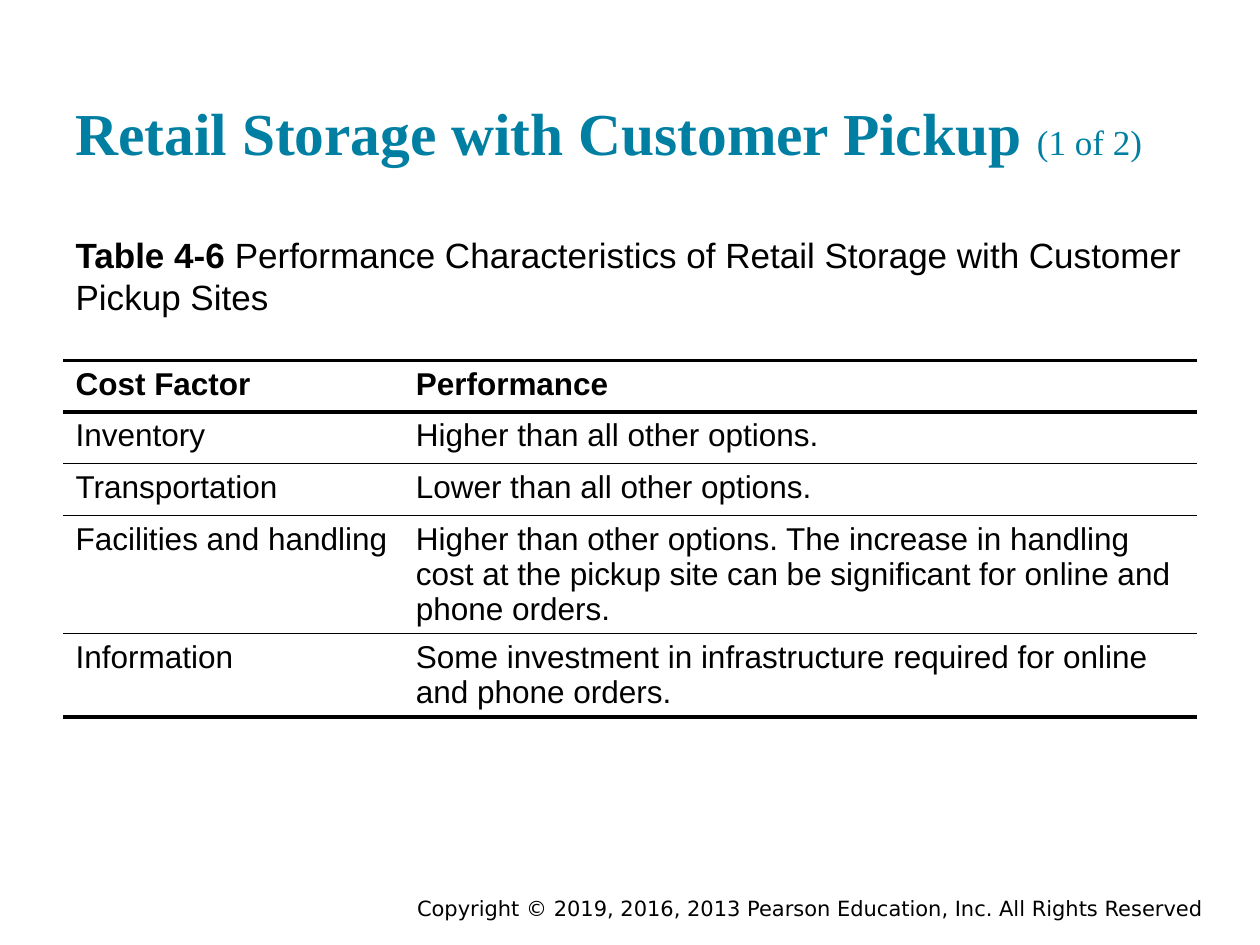
"""Build the slide on retail storage with customer pickup."""
from lxml import etree
from pptx import Presentation
from pptx.dml.color import RGBColor
from pptx.enum.text import MSO_ANCHOR, MSO_AUTO_SIZE, PP_ALIGN
from pptx.oxml.ns import qn
from pptx.util import Inches, Pt

LEFT, RIGHT = PP_ALIGN.LEFT, PP_ALIGN.RIGHT
TOP, MIDDLE, BOTTOM = MSO_ANCHOR.TOP, MSO_ANCHOR.MIDDLE, MSO_ANCHOR.BOTTOM
NO_AUTOFIT = MSO_AUTO_SIZE.NONE

COLORS = {"title": "007FA3", "text": "000000", "background": "FFFFFF"}
TITLE = [("Retail Storage with Customer Pickup ", 34, True), ("(1 of 2)", 20, False)]
CAPTION = [
    ("Table 4-6 ", 20, True),
    ("Performance Characteristics of Retail Storage with Customer Pickup Sites", 20, False),
]
COPYRIGHT = "Copyright © 2019, 2016, 2013 Pearson Education, Inc. All Rights Reserved"
ROWS = [
    ("Cost Factor", "Performance"),
    ("Inventory", "Higher than all other options."),
    ("Transportation", "Lower than all other options."),
    ("Facilities and handling", "Higher than other options. The increase in handling cost "
     "at the pickup site can be significant for online and phone orders."),
    ("Information", "Some investment in infrastructure required for online and phone orders."),
]
COLUMN_WIDTHS = [2.7, 6.3]
ROW_HEIGHTS = [0.41, 0.41, 0.41, 0.9, 0.63]
RULE_WIDTHS = [2.25, 2.25, 1, 1, 1, 2.25]


def write_text(frame, runs, font="Arial", color="text", align=LEFT, line_spacing=1.0):
    """Fill the first paragraph of a frame with (text, size, bold) runs."""
    paragraph = frame.paragraphs[0]
    paragraph.alignment = align
    paragraph.line_spacing = line_spacing
    paragraph.space_before = Pt(0)
    for text, size, bold in runs:
        run = paragraph.add_run()
        run.text = text
        run.font.name = font
        run.font.size = Pt(size)
        run.font.bold = bold
        run.font.color.rgb = RGBColor.from_string(COLORS[color])
    return paragraph


def place(shape, left, top, width, height, anchor, inset=0.1):
    """Position a text shape and set up its frame."""
    shape.left, shape.top = Inches(left), Inches(top)
    shape.width, shape.height = Inches(width), Inches(height)
    frame = shape.text_frame
    frame.word_wrap = True
    frame.auto_size = NO_AUTOFIT
    frame.vertical_anchor = anchor
    frame.margin_left = frame.margin_right = Inches(0.1)
    frame.margin_top = frame.margin_bottom = Inches(inset)
    return frame


def set_borders(cell, widths):
    """Draw only the top and bottom borders of a cell."""
    properties = cell._tc.get_or_add_tcPr()
    for index, (side, width) in enumerate(widths.items()):
        line = etree.Element(qn(f"a:{side}"), w=str(Pt(width)))
        if width:
            fill = etree.SubElement(line, qn("a:solidFill"))
            etree.SubElement(fill, qn("a:srgbClr"), val=COLORS["text"])
        else:
            etree.SubElement(line, qn("a:noFill"))
        properties.insert(index, line)


def add_cost_table(slide):
    """Add the table of cost factors with horizontal rules."""
    table = slide.shapes.add_table(
        len(ROWS), len(COLUMN_WIDTHS), Inches(0.5), Inches(2.86),
        Inches(sum(COLUMN_WIDTHS)), Inches(sum(ROW_HEIGHTS))).table
    table.horz_banding = False
    for column, width in zip(table.columns, COLUMN_WIDTHS):
        column.width = Inches(width)
    for row_index, texts in enumerate(ROWS):
        table.rows[row_index].height = Inches(ROW_HEIGHTS[row_index])
        for column_index, text in enumerate(texts):
            cell = table.cell(row_index, column_index)
            write_text(cell.text_frame, [(text, 18, row_index == 0)])
            cell.fill.solid()
            cell.fill.fore_color.rgb = RGBColor.from_string(COLORS["background"])
            set_borders(cell, {"lnL": 0, "lnR": 0, "lnT": RULE_WIDTHS[row_index],
                               "lnB": RULE_WIDTHS[row_index + 1]})


def main():
    """Build and save the presentation."""
    presentation = Presentation()
    presentation.slide_width, presentation.slide_height = Inches(10), Inches(7.5)
    slide = presentation.slides.add_slide(presentation.slide_layouts[1])

    title_frame = place(slide.shapes.title, 0.5, 0.24, 9, 1.2, BOTTOM)
    write_text(title_frame, TITLE, font="Times New Roman", color="title", line_spacing=0.9)

    caption_frame = place(slide.placeholders[1], 0.5, 1.75, 9, 0.86, TOP)
    caption = write_text(caption_frame, CAPTION)
    caption_properties = caption._p.get_or_add_pPr()
    caption_properties.set("marL", "0")
    caption_properties.set("indent", "0")
    etree.SubElement(caption_properties, qn("a:buNone"))

    add_cost_table(slide)

    copyright_box = slide.shapes.add_textbox(0, 0, 0, 0)
    copyright_frame = place(copyright_box, 3, 7.08, 6.65, 0.25, MIDDLE, inset=0)
    write_text(copyright_frame, [(COPYRIGHT, 12, False)], font="DejaVu Sans", align=RIGHT)

    presentation.save("out.pptx")


if __name__ == "__main__":
    main()
